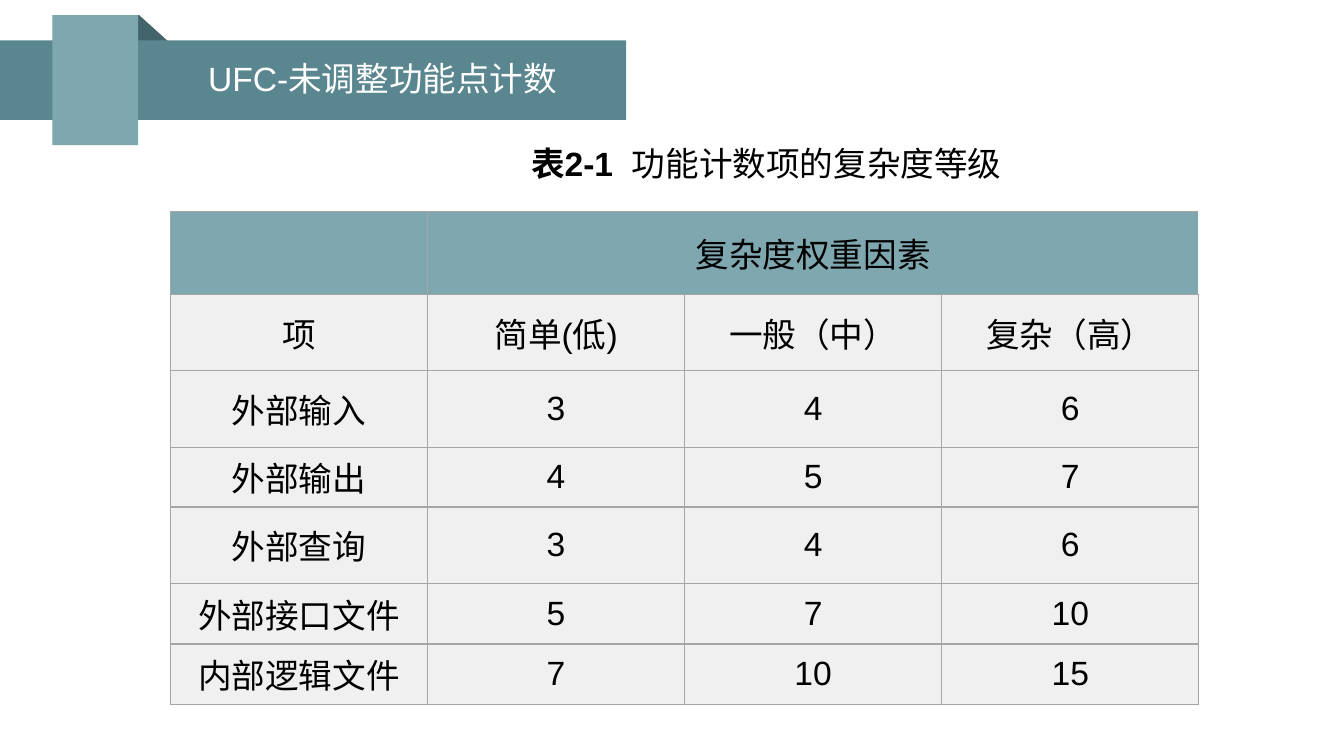
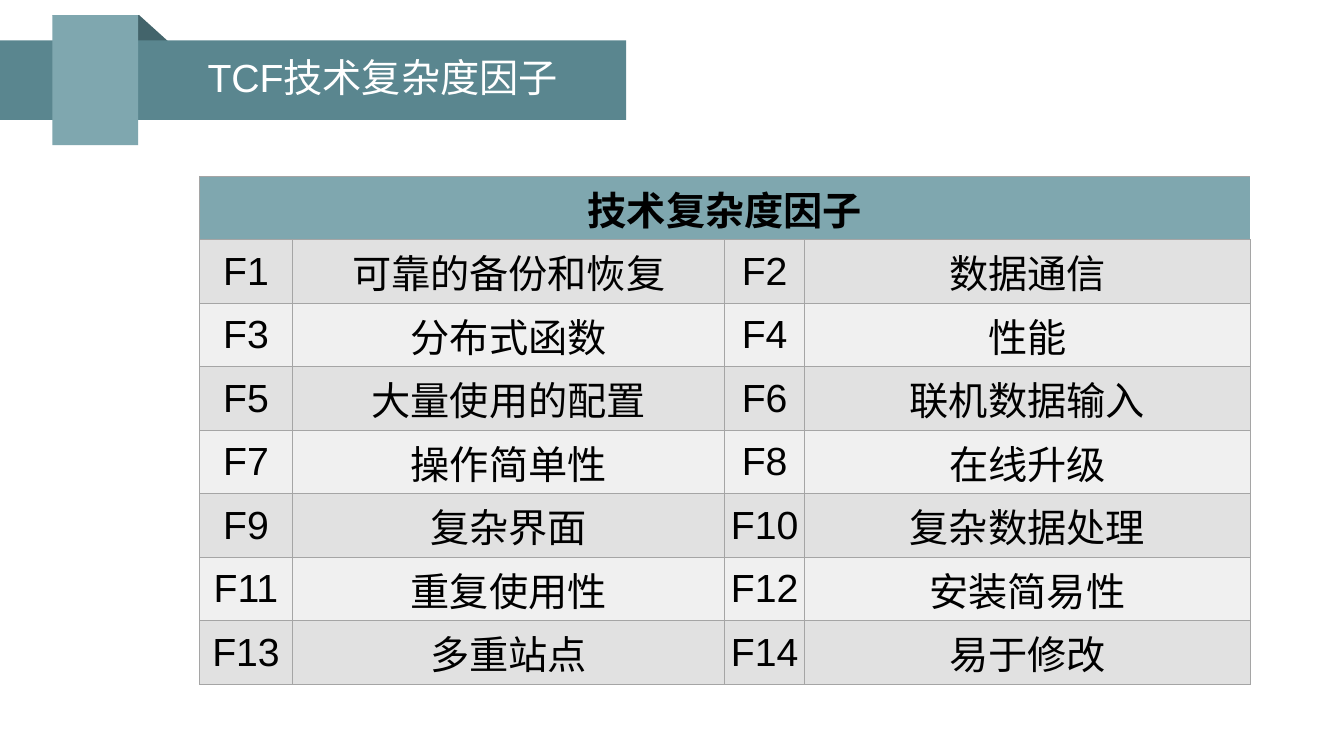
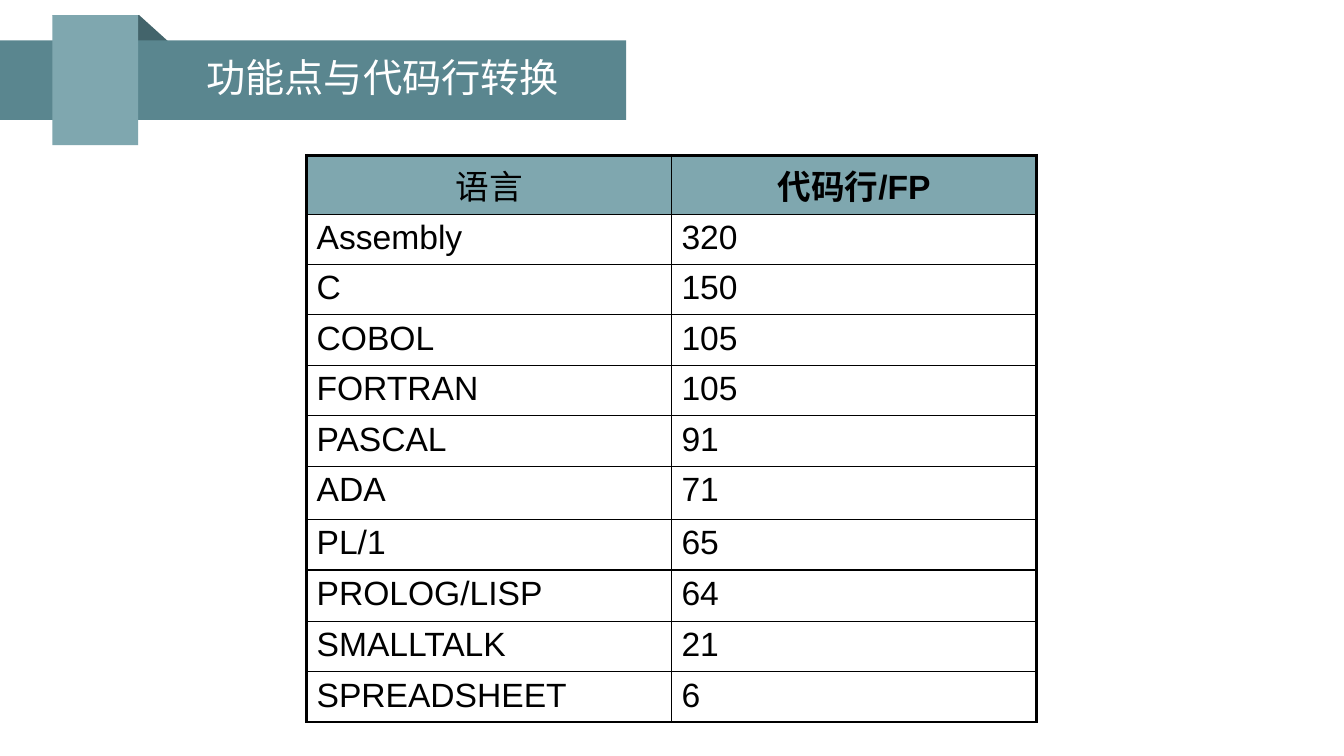
from lxml.etree import SubElement
from pptx import Presentation
from pptx.dml.color import RGBColor
from pptx.enum.shapes import MSO_SHAPE as SHAPE
from pptx.enum.text import MSO_ANCHOR as ANCHOR, MSO_AUTO_SIZE as AUTO, PP_ALIGN as ALIGN
from pptx.oxml import parse_xml
from pptx.oxml.ns import nsdecls, qn
from pptx.util import Inches, Pt

# Shared colours and fonts
BLACK = RGBColor(0x00, 0x00, 0x00)
WHITE = RGBColor(0xFF, 0xFF, 0xFF)
FOLD = RGBColor(0x43, 0x64, 0x6B)
BAND = RGBColor(0x5A, 0x86, 0x8F)
TEAL = RGBColor(0x7F, 0xA7, 0xAF)
GREY = RGBColor(0xA5, 0xA5, 0xA5)
PALE = RGBColor(0xF0, 0xF0, 0xF0)
MID = RGBColor(0xE1, 0xE1, 0xE1)
LATIN, CJK = "Arial", "Noto Sans CJK SC"

# Table contents
WEIGHTS = [
    ["", "复杂度权重因素", "", ""],
    ["项", "简单(低)", "一般（中）", "复杂（高）"],
    ["外部输入", "3", "4", "6"],
    ["外部输出", "4", "5", "7"],
    ["外部查询", "3", "4", "6"],
    ["外部接口文件", "5", "7", "10"],
    ["内部逻辑文件", "7", "10", "15"],
]
FACTORS = [
    "可靠的备份和恢复", "数据通信", "分布式函数", "性能", "大量使用的配置",
    "联机数据输入", "操作简单性", "在线升级", "复杂界面", "复杂数据处理",
    "重复使用性", "安装简易性", "多重站点", "易于修改",
]
LANGUAGES = [
    ["语言", "代码行/FP"],
    ["Assembly", "320"],
    ["C", "150"],
    ["COBOL", "105"],
    ["FORTRAN", "105"],
    ["PASCAL", "91"],
    ["ADA", "71"],
    ["PL/1", "65"],
    ["PROLOG/LISP", "64"],
    ["SMALLTALK", "21"],
    ["SPREADSHEET", "6"],
]


def add_run(p, text, size=24, color=BLACK, bold=False, font=LATIN):
    r = p.add_run()
    r.text = text
    r.font.size, r.font.bold, r.font.name = Pt(size), bold, font
    r.font.color.rgb = color
    SubElement(r.font._element, qn("a:ea"), typeface=CJK)


def paint(sp, color):
    sp.shadow.inherit = False
    sp.fill.solid()
    sp.fill.fore_color.rgb = color
    sp.line.fill.background()


def add_slide(prs, title, size=28):
    """Add a slide with the ribbon behind its title."""
    s = prs.slides.add_slide(prs.slide_layouts[5])
    ribbon = s.shapes.add_group_shape()
    fold = ribbon.shapes.build_freeform(Inches(0.52), Inches(0.15))
    fold.add_line_segments([(Inches(1.38), Inches(0.15)), (Inches(2.21), Inches(0.9))])
    paint(fold.convert_to_shape(), FOLD)
    for box, color in (((0, 0.4, 6.21, 0.79), BAND), ((0.52, 0.15, 0.85, 1.29), TEAL)):
        paint(ribbon.shapes.add_shape(SHAPE.RECTANGLE, *map(Inches, box)), color)

    sp = s.shapes.title
    sp.element.addprevious(ribbon.element)
    sp.left, sp.top, sp.width, sp.height = map(Inches, (1.38, 0.4, 4.83, 0.79))
    tf = sp.text_frame
    tf.word_wrap, tf.auto_size, tf.vertical_anchor = True, AUTO.NONE, ANCHOR.MIDDLE
    p = tf.paragraphs[0]
    p.alignment, p.line_spacing = ALIGN.CENTER, 0.9
    add_run(p, title, size, WHITE)
    return s


def add_caption(s, label, text):
    sp = s.shapes.add_textbox(Inches(4.96), Inches(1.37), Inches(5.28), Inches(0.5))
    tf = sp.text_frame
    tf.word_wrap = True
    p = tf.paragraphs[0]
    p.alignment = ALIGN.CENTER
    add_run(p, label, bold=True)
    add_run(p, text, font=CJK)


def set_borders(cell, widths, color):
    """Draw the given sides; widths maps L, R, T, B in that order to points."""
    tc_pr = cell._tc.get_or_add_tcPr()
    for i, (side, width) in enumerate(widths.items()):
        tc_pr.insert(i, parse_xml(
            f'<a:ln{side} {nsdecls("a")} w="{Pt(width)}"><a:solidFill>'
            f'<a:srgbClr val="{color}"/></a:solidFill></a:ln{side}>'))


def add_table(s, rows, left, top, cols, heights, size=24, span_from=None, bold=(),
              fills=(None,), align=ALIGN.CENTER, anchor=ANCHOR.MIDDLE,
              margins=(0.1, 0.05), line=GREY, outer=1):
    """Fill a table; body row fills repeat, and bold lists header texts."""
    tbl = s.shapes.add_table(len(rows), len(cols), Inches(left), Inches(top),
                             Inches(sum(cols)), Inches(sum(heights))).table
    tbl.first_row = tbl.horz_banding = False
    for col, width in zip(tbl.columns, cols):
        col.width = Inches(width)
    for row, height in zip(tbl.rows, heights):
        row.height = Inches(height)
    last_row, last_col = len(rows) - 1, len(cols) - 1
    if span_from is not None:
        tbl.cell(0, span_from).merge(tbl.cell(0, last_col))

    for i, row in enumerate(rows):
        fill = fills[(i - 1) % len(fills)] if i else TEAL
        for j, text in enumerate(row):
            cell = tbl.cell(i, j)
            cell.vertical_anchor = anchor
            cell.margin_left = cell.margin_right = Inches(margins[0])
            cell.margin_top = cell.margin_bottom = Inches(margins[1])
            if fill is None:
                cell.fill.background()
            else:
                cell.fill.solid()
                cell.fill.fore_color.rgb = fill
            if text:
                p = cell.text_frame.paragraphs[0]
                p.alignment = align if i else ALIGN.CENTER
                add_run(p, text, size, bold=text in bold)
            # Outer edges may be heavier; merged cells have no inner edges
            widths = {"L": outer if j == 0 else 1, "R": outer if j == last_col else 1,
                      "T": outer if i == 0 else 1, "B": outer if i == last_row else 1}
            if cell.is_spanned:
                del widths["L"]
            if j < last_col and tbl.cell(i, j + 1).is_spanned:
                del widths["R"]
            set_borders(cell, widths, line)


def main():
    prs = Presentation()
    prs.slide_width, prs.slide_height = Inches(13.33), Inches(7.5)

    # Complexity weights
    s = add_slide(prs, "UFC-未调整功能点计数", 24)
    add_table(s, WEIGHTS, 1.69, 2.1, [2.55] * 4,
              [0.82, 0.76, 0.76, 0.59, 0.76, 0.6, 0.6], span_from=1, fills=(PALE,))
    add_caption(s, "表2-1  ", "功能计数项的复杂度等级")

    # Technical complexity factors, numbered two to a row
    s = add_slide(prs, "TCF技术复杂度因子")
    heading = "技术复杂度因子"
    rows = [[heading, "", "", ""]]
    for n in range(0, len(FACTORS), 2):
        rows.append([f"F{n + 1}", FACTORS[n], f"F{n + 2}", FACTORS[n + 1]])
    add_table(s, rows, 1.98, 1.75, [0.92, 4.29, 0.79, 4.42], [0.63] * len(rows), size=28,
              span_from=0, bold=(heading,), fills=(MID, PALE), margins=(0, 0))

    # Lines of code per function point
    s = add_slide(prs, "功能点与代码行转换")
    add_table(s, LANGUAGES, 3.04, 1.54, [3.62] * 2,
              [0.58] + [0.5] * 5 + [0.53, 0.5, 0.51, 0.5, 0.5], bold=("代码行/FP",),
              align=ALIGN.LEFT, anchor=ANCHOR.TOP, line=BLACK, outer=2.25)

    prs.save("out.pptx")


if __name__ == "__main__":
    main()
